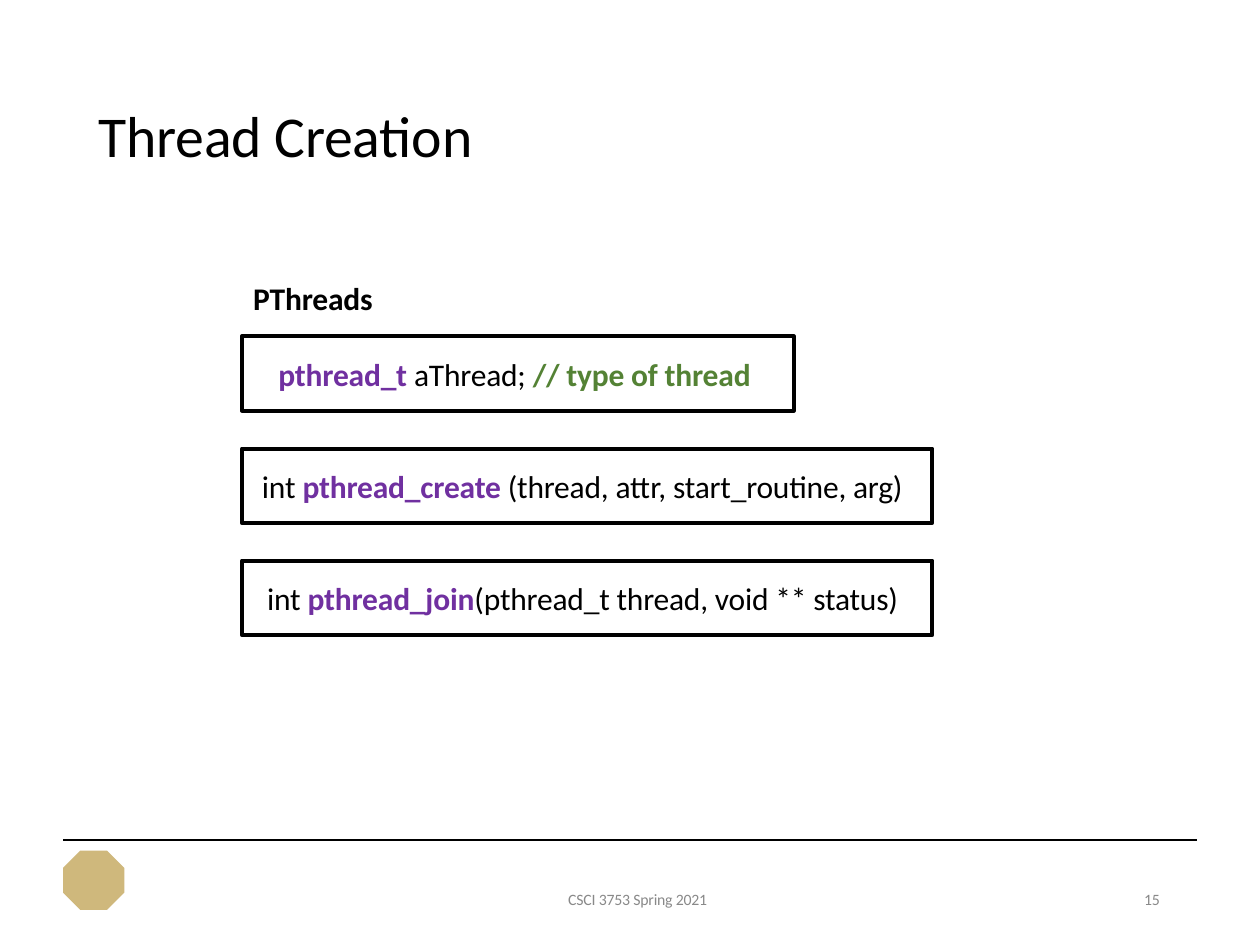
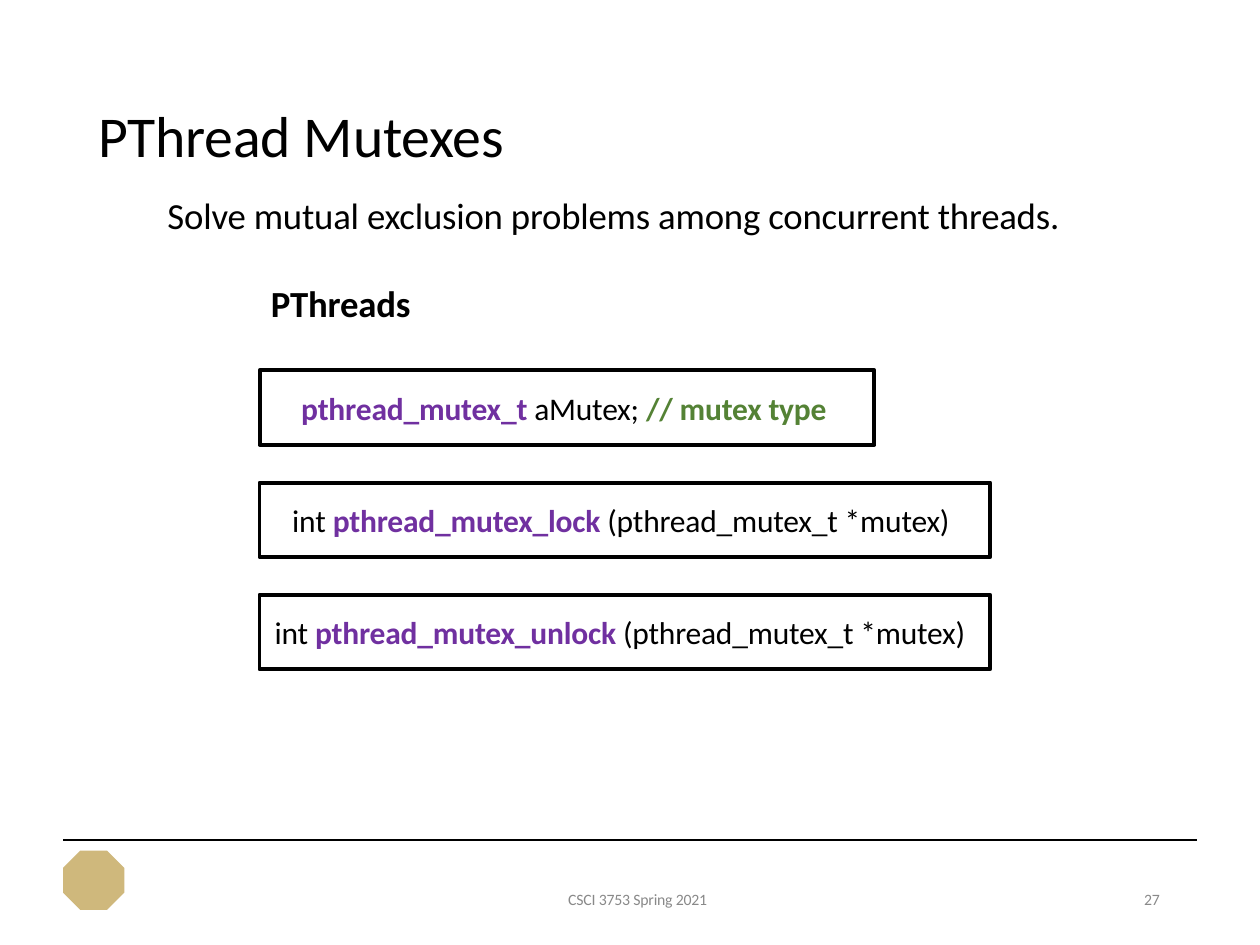
from dataclasses import dataclass
from lxml.etree import SubElement
from pptx import Presentation
from pptx.dml.color import RGBColor
from pptx.enum.shapes import MSO_CONNECTOR as CONN, MSO_SHAPE as SHAPE
from pptx.enum.text import MSO_ANCHOR as ANCHOR, PP_ALIGN as ALIGN
from pptx.oxml.ns import qn
from pptx.util import Pt


@dataclass(frozen=True)
class Theme:
    font: str = "Calibri"
    ink: RGBColor = RGBColor(0, 0, 0)
    keyword: RGBColor = RGBColor(0x70, 0x30, 0xA0)
    comment: RGBColor = RGBColor(0x54, 0x82, 0x35)
    muted: RGBColor = RGBColor(0x89, 0x89, 0x89)
    gold: RGBColor = RGBColor(0xCF, 0xB8, 0x7C)
    title: int = 33
    lead: int = 21
    code: int = 18
    small: int = 9
    tracking: int = -10


T = Theme()
CODE_HEIGHT, CODE_PITCH = 42.5, 64.1


def write(sp, runs, size, color=T.ink, bold=False, indent=0.7, space=0):
    tf = sp.text_frame
    tf.word_wrap = True
    tf.margin_left = Pt(indent)
    tf.margin_right = tf.margin_bottom = 0
    tf.margin_top = Pt(0.9 if space else 0)
    p = tf.paragraphs[0]
    p.alignment = ALIGN.LEFT
    p.space_before = Pt(space)
    p.font.name, p.font.size = T.font, Pt(size)
    p.font.color.rgb, p.font.bold = color, bold
    for text, accent in runs:
        r = p.add_run()
        r.text = text
        r.font.name, r.font.size = T.font, Pt(size)
        r.font.color.rgb = accent or color
        r.font.bold = bold or accent is not None
        r.font._element.set("spc", str(T.tracking))


def add_label(slide, box, text, size, space=1, **style):
    sp = slide.shapes.add_textbox(*map(Pt, box))
    sp.text_frame.vertical_anchor = ANCHOR.TOP
    write(sp, [(text, None)], size, space=space, **style)


def add_code_box(slide, box, indent, runs):
    sp = slide.shapes.add_shape(SHAPE.RECTANGLE, *map(Pt, box))
    sp.shadow.inherit = False
    sp.fill.background()
    sp.line.color.rgb, sp.line.width = T.ink, Pt(2.25)
    sp.text_frame.vertical_anchor = ANCHOR.MIDDLE
    write(sp, runs, T.code, indent=indent)


def add_code_stack(slide, left, top, rows):
    for i, (width, indent, runs) in enumerate(rows):
        box = (left, top + i * CODE_PITCH, width, CODE_HEIGHT)
        add_code_box(slide, box, indent, runs)


def add_footer(slide, left, top, width, number):
    rule = slide.shapes.add_connector(CONN.STRAIGHT, Pt(left), Pt(top), Pt(left + width), Pt(top))
    rule.line.color.rgb, rule.line.width = T.ink, Pt(1)
    SubElement(rule._element.spPr, qn("a:effectLst"))
    badge = slide.shapes.add_shape(SHAPE.OCTAGON, Pt(left), Pt(top + 6), Pt(35), Pt(34))
    badge.shadow.inherit = False
    badge.fill.solid()
    badge.fill.fore_color.rgb = T.gold
    badge.line.fill.background()
    y = top + 27.6
    add_label(slide, (left + 614.9, y, 15.1, 13), number, T.small,
              space=0.6, color=T.muted, indent=2.9)
    add_label(slide, (left + 288, y, 86, 11.5), "CSCI 3753 Spring 2021", T.small,
              space=0.6, color=T.muted)


def add_slide(prs, title, number):
    slide = prs.slides.add_slide(prs.slide_layouts[6])
    add_footer(slide, 36, 480, 648, number)
    add_label(slide, (55.5, 56.2, 233, 41.8), title, T.title)
    return slide


def thread_slide(prs):
    slide = add_slide(prs, "Thread Creation", "15")
    add_label(slide, (144, 158.4, 72, 23.8), "PThreads", T.code, bold=True)
    add_code_stack(slide, 138.2, 192.2, [
        (315.4, 20.9, [("pthread_t ", T.keyword), ("aThread; ", None),
                       ("// type of thread", T.comment)]),
        (394.6, 11.5, [("int ", None), ("pthread_create ", T.keyword),
                       ("(thread, attr, start_routine, arg)", None)]),
        (394.6, 14.4, [("int ", None), ("pthread_join", T.keyword),
                       ("(pthread_t thread, void ** status)", None)]),
    ])


def mutex_slide(prs):
    slide = add_slide(prs, "PThread Mutexes", "27")
    add_label(slide, (95, 109.4, 520, 27.4),
              "Solve mutual exclusion problems among concurrent threads.", T.lead)
    add_label(slide, (154.1, 159.8, 84, 27.4), "PThreads", T.lead, bold=True)
    rows = [(351.4, 23.8, [("pthread_mutex_t ", T.keyword), ("aMutex; ", None),
                           ("// mutex type", T.comment)])]
    for action, indent in (("lock", 18.7), ("unlock", 8.6)):
        rows.append((417.6, indent, [("int ", None), (f"pthread_mutex_{action} ", T.keyword),
                                     ("(pthread_mutex_t *mutex)", None)]))
    add_code_stack(slide, 148.3, 211.7, rows)


prs = Presentation()
prs.slide_width, prs.slide_height = Pt(720), Pt(540)
thread_slide(prs)
mutex_slide(prs)
prs.save("out.pptx")
